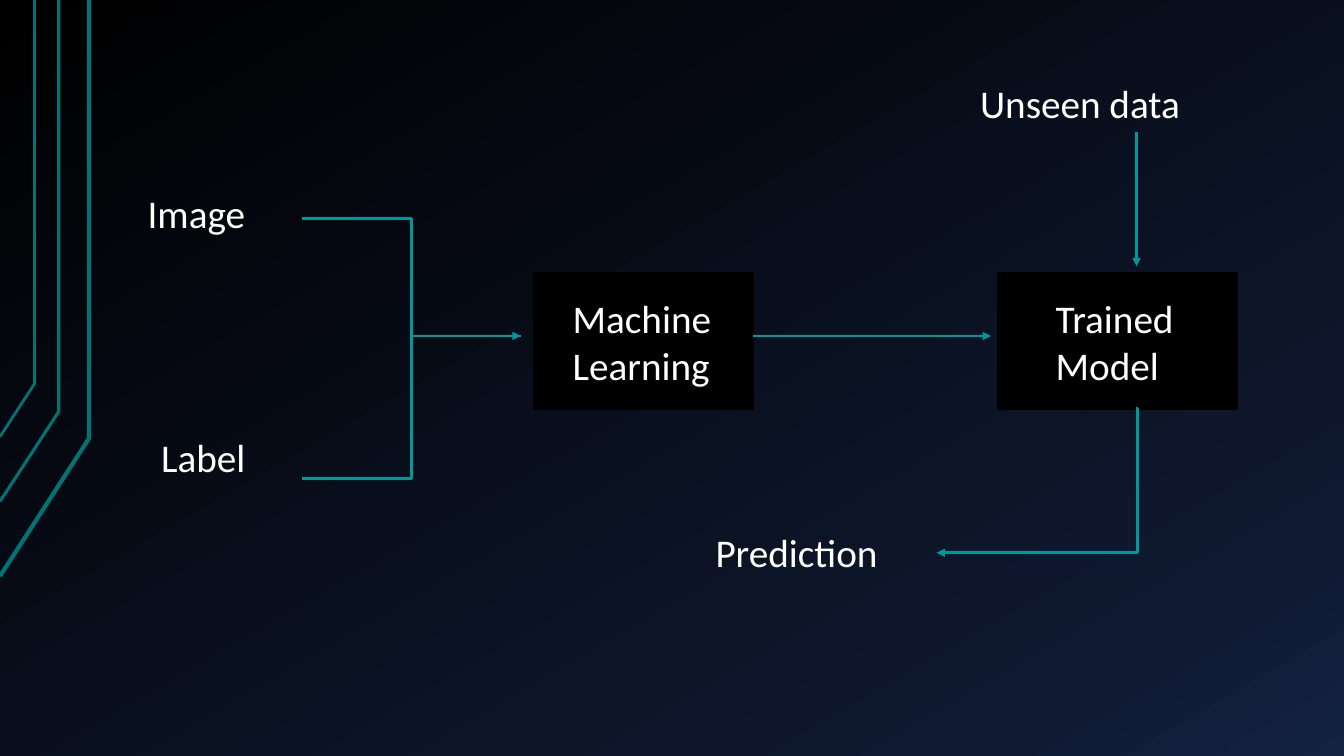
import dataclasses

import lxml.etree
import pptx
import pptx.dml.color
import pptx.enum.shapes
import pptx.enum.text
import pptx.oxml
import pptx.oxml.ns
import pptx.util

COLUMNS, ROWS = 160, 90
WHITE, BLACK, TEAL, DARK_TEAL = "FFFFFF", "000000", "009999", "007373"

deck = pptx.Presentation()
deck.slide_width = pptx.util.Inches(13.33)
deck.slide_height = pptx.util.Inches(7.5)
slide = deck.slides.add_slide(deck.slide_layouts[6])


@dataclasses.dataclass(frozen=True)
class Area:
    left: float
    top: float
    width: float
    height: float


@dataclasses.dataclass(frozen=True)
class Caption:
    text: str
    area: Area


@dataclasses.dataclass(frozen=True)
class Flow:
    start: tuple[float, float]
    end: tuple[float, float]
    bent: bool = False
    arrow: bool = True
    bend: int = 50000  # share of the width, in 1/100000


@dataclasses.dataclass(frozen=True)
class Trace:
    points: list[tuple[float, float]]
    weight: float


def col(count: float) -> int:
    return round(deck.slide_width * count / COLUMNS)


def row(count: float) -> int:
    return round(deck.slide_height * count / ROWS)


def place(area: Area) -> tuple[int, int, int, int]:
    return col(area.left), row(area.top), col(area.width), row(area.height)


def rgb(value: str) -> pptx.dml.color.RGBColor:
    return pptx.dml.color.RGBColor.from_string(value)


def set_line(line, color: str, weight: float) -> None:
    line.color.rgb = rgb(color)
    line.width = pptx.util.Pt(weight)


def add_text(text: str, area: Area, *, size: float = 28, color: str = WHITE,
             font: str = "Calibri") -> None:
    frame = slide.shapes.add_textbox(*place(area)).text_frame
    frame.word_wrap = True
    frame.auto_size = pptx.enum.text.MSO_AUTO_SIZE.SHAPE_TO_FIT_TEXT
    run = frame.paragraphs[0].add_run()
    run.text = text
    run.font.name = font
    run.font.size = pptx.util.Pt(size)
    run.font.color.rgb = rgb(color)


def add_stage(area: Area) -> None:
    stage = slide.shapes.add_shape(
        pptx.enum.shapes.MSO_SHAPE.RECTANGLE, *place(area))
    stage.shadow.inherit = False
    stage.fill.solid()
    stage.fill.fore_color.rgb = rgb(BLACK)
    set_line(stage.line, BLACK, 2)


def add_flow(flow: Flow) -> None:
    kinds = pptx.enum.shapes.MSO_CONNECTOR
    connector = slide.shapes.add_connector(
        kinds.ELBOW if flow.bent else kinds.STRAIGHT,
        col(flow.start[0]), row(flow.start[1]),
        col(flow.end[0]), row(flow.end[1]))
    set_line(connector.line, TEAL, 2)
    qn = pptx.oxml.ns.qn
    properties = connector._element.spPr
    if flow.arrow:
        lxml.etree.SubElement(
            connector.line._get_or_add_ln(), qn("a:tailEnd"), type="triangle")
    if flow.bent:
        adjustments = properties.find(qn("a:prstGeom")).find(qn("a:avLst"))
        lxml.etree.SubElement(
            adjustments, qn("a:gd"), name="adj1", fmla=f"val {flow.bend}")
    lxml.etree.SubElement(properties, qn("a:effectLst"))


def add_trace(trace: Trace) -> None:
    points = [(col(x), row(y)) for x, y in trace.points]
    builder = slide.shapes.build_freeform(*points[0])
    builder.add_line_segments(points[1:], close=False)
    outline = builder.convert_to_shape()
    outline.shadow.inherit = False
    outline.fill.background()
    set_line(outline.line, DARK_TEAL, trace.weight)


def paint_background(stops: list[tuple[int, str]], angle: int) -> None:
    fill = slide.background.fill
    fill.gradient()
    qn = pptx.oxml.ns.qn
    gradient = slide._element.cSld.find(".//" + qn("a:gradFill"))
    stop_list = gradient.find(qn("a:gsLst"))
    for default_stop in list(stop_list):
        stop_list.remove(default_stop)
    for percent, color in stops:
        stop = lxml.etree.SubElement(
            stop_list, qn("a:gs"), pos=str(percent * 1000))
        lxml.etree.SubElement(stop, qn("a:srgbClr"), val=color)
    fill.gradient_angle = 360 - angle  # counter-clockwise


# Background and circuit traces on the left edge
paint_background([(0, BLACK), (85, "0F1931"), (100, "142242")], angle=60)
traces = [
    Trace([(0, 68.6), (10.6, 52.2), (10.6, 0)], 3),
    Trace([(0, 59.7), (7, 49), (7, 0)], 2.25),
    Trace([(0, 52), (4.1, 45.7), (4.1, 0)], 2),
]
for trace in traces:
    add_trace(trace)

# Processing stages
learning = Area(63.6, 32.6, 26, 16)
model = Area(118.9, 32.6, 28.3, 16)
for stage_area in (learning, model):
    add_stage(stage_area)

# Inputs, stage names and outputs
captions = [
    Caption("Image", Area(16.4, 22, 16, 6.8)),
    Caption("Label", Area(18, 51, 16, 6.8)),
    Caption("Machine Learning", Area(67, 34.4, 21.4, 12.5)),
    Caption("Trained Model", Area(124.5, 34.4, 18, 12.5)),
    Caption("Prediction", Area(84, 62.3, 30, 6.8)),
    Caption("Unseen data", Area(115.5, 8.9, 39.5, 6.8)),
]
for caption in captions:
    add_text(caption.text, caption.area)

# Data flow
middle = 40
model_axis = 135.3
flows = [
    Flow((36, 26), (62, middle), bent=True, arrow=False),
    Flow((36, 57), (62, middle), bent=True),
    Flow((learning.left + learning.width, middle), (118, middle)),
    Flow((model_axis, model.top + model.height), (111.5, 65.8),
         bent=True, bend=-700),
    Flow((model_axis, 15.7), (model_axis, 31.7)),
]
for flow in flows:
    add_flow(flow)

deck.save("out.pptx")
